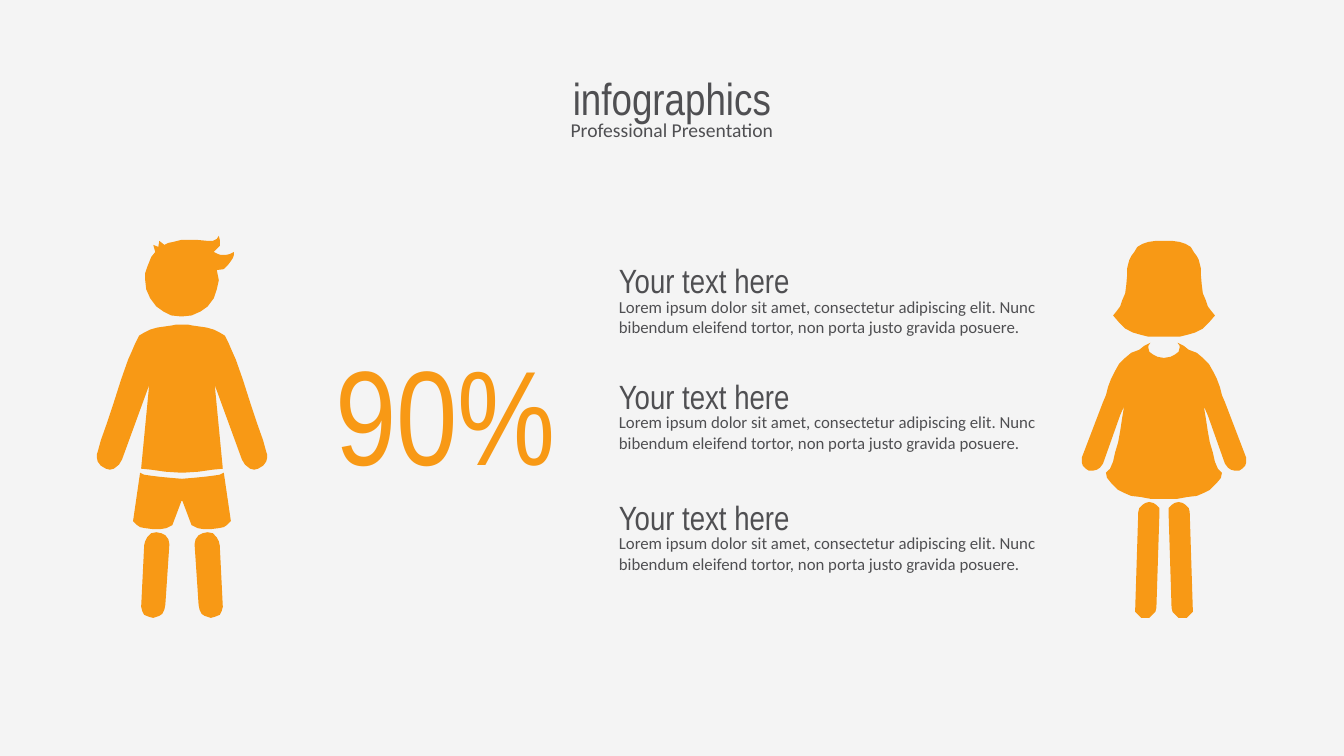
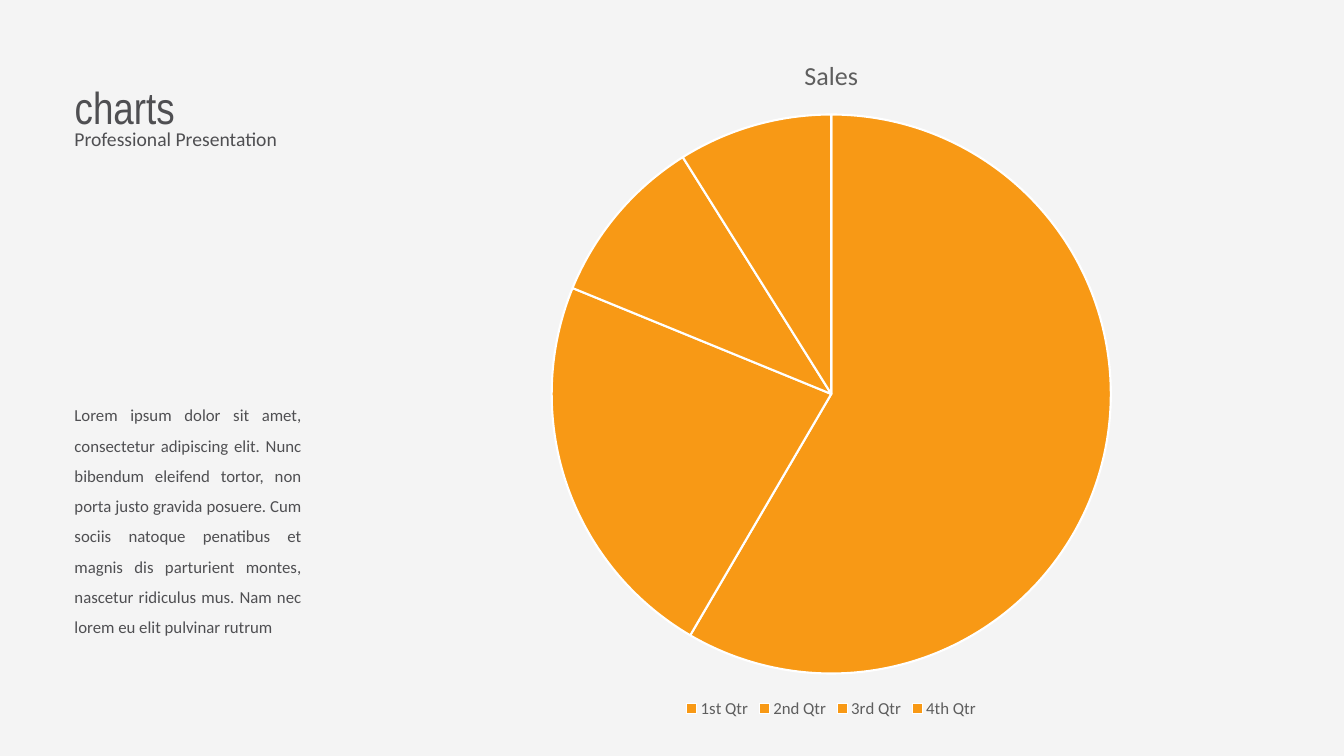
from dataclasses import dataclass

from pptx import Presentation
from pptx.chart.data import CategoryChartData
from pptx.dml.color import RGBColor
from pptx.enum.chart import XL_CHART_TYPE as ChartType, XL_LEGEND_POSITION as LegendPosition
from pptx.enum.text import MSO_ANCHOR as Anchor, MSO_AUTO_SIZE as AutoSize, PP_ALIGN as Align
from pptx.util import Emu, Pt

PX = 9144  # 100 px to the inch
TITLE_ONLY = 5


@dataclass(frozen=True)
class Theme:
    background: str = "F4F4F4"
    accent: str = "F89915"
    ink: str = "4F4F52"
    chart_ink: str = "5E5E5E"
    separator: str = "FFFFFF"
    heading_font: str = "Arial Narrow"
    body_font: str = "Calibri"
    title_size: float = 32
    subtitle_size: float = 14
    heading_size: float = 24
    body_size: float = 12
    figure_size: float = 96
    chart_title_size: float = 18.6
    separator_width: float = 1.5


THEME = Theme()


def color(value):
    return RGBColor.from_string(value)


def mirror(points, axis_sum):
    """Reflect points across the vertical line x = axis_sum / 2."""
    return [(axis_sum - x, y) for x, y in points]


def symmetric(half, axis_sum):
    """Close a right-hand half outline with its reflection."""
    return half + mirror(half, axis_sum)[::-1]


class SlideBuilder:
    def __init__(self, theme):
        self.theme = theme
        self.deck = Presentation()
        self.deck.slide_width, self.deck.slide_height = Emu(1333 * PX), Emu(750 * PX)
        fill = self.deck.slide_master.background.fill
        fill.solid()
        fill.fore_color.rgb = color(theme.background)
        self.page = None

    def new_page(self):
        self.page = self.deck.slides.add_slide(self.deck.slide_layouts[TITLE_ONLY])

    def style_font(self, font, name, size, ink):
        font.name, font.size, font.bold = name, Pt(size), False
        font.color.rgb = color(ink)

    def format_text(self, box, text, size, name, ink=None, align=Align.LEFT, spacing=None):
        frame = box.text_frame
        frame.text = text
        frame.word_wrap = True
        frame.auto_size = AutoSize.NONE
        frame.vertical_anchor = Anchor.TOP
        para = frame.paragraphs[0]
        para.alignment = align
        if spacing:
            para.line_spacing = spacing
        for span in para.runs:
            self.style_font(span.font, name, size, ink or self.theme.ink)

    def text(self, left, top, width, height, text, size, name, **style):
        box = self.page.shapes.add_textbox(*(Emu(n * PX) for n in (left, top, width, height)))
        self.format_text(box, text, size, name, **style)

    def title(self, left, top, width, text, subtitle, align=Align.LEFT):
        theme = self.theme
        box = self.page.shapes.title
        box.left, box.top, box.width, box.height = (
            Emu(n * PX) for n in (left, top, width, 64))
        self.format_text(box, text, theme.title_size, theme.heading_font, align=align)
        self.text(left, top + 47, width, 34, subtitle,
                  theme.subtitle_size, theme.body_font, align=align)

    def person(self, outlines):
        group = self.page.shapes.add_group_shape()
        for points in outlines:
            builder = group.shapes.build_freeform(*points[0], scale=PX)
            builder.add_line_segments(points[1:], close=True)
            part = builder.convert_to_shape()
            part.shadow.inherit = False
            part.fill.solid()
            part.fill.fore_color.rgb = color(self.theme.accent)
            part.line.fill.background()

    def pie(self, left, top, width, height, name, values):
        theme = self.theme
        data = CategoryChartData()
        data.categories = list(values)
        data.add_series(name, list(values.values()))
        frame = self.page.shapes.add_chart(
            ChartType.PIE, *(Emu(n * PX) for n in (left, top, width, height)), data)
        chart = frame.chart
        self.style_font(chart.font, theme.body_font, theme.body_size, theme.chart_ink)
        chart.has_title = True
        chart.chart_title.include_in_layout = False
        para = chart.chart_title.text_frame.paragraphs[0]
        para.text = name
        self.style_font(para.runs[0].font, theme.body_font,
                        theme.chart_title_size, theme.chart_ink)
        chart.has_legend = True
        chart.legend.position = LegendPosition.BOTTOM
        chart.legend.include_in_layout = False
        self.style_font(chart.legend.font, theme.body_font, theme.body_size, theme.chart_ink)
        plot = chart.plots[0]
        plot.vary_by_categories = True
        for index in range(len(values)):
            wedge = plot.series[0].points[index].format
            wedge.fill.solid()
            wedge.fill.fore_color.rgb = color(theme.accent)
            wedge.line.color.rgb = color(theme.separator)
            wedge.line.width = Pt(theme.separator_width)


# Outlines of the boy
BOY_AXIS = 361
BOY_HEAD = [
    (217, 234), (218, 238), (218, 244), (215, 247), (212, 250), (216, 252), (219, 253),
    (224, 253), (228, 252), (232, 250), (232, 253), (231, 256), (229, 259), (226, 263),
    (222, 267), (215, 268), (217, 278), (215, 287), (212, 296), (206, 304), (199, 309),
    (190, 313), (180, 314), (170, 313), (162, 309), (155, 304), (149, 296), (145, 287),
    (144, 278), (144, 271), (146, 265), (148, 260), (150, 255), (154, 250), (152, 243),
    (157, 245), (158, 239), (163, 243), (167, 241), (172, 240), (180, 238), (188, 238),
    (195, 238), (206, 239), (211, 239), (215, 237)]
BOY_SHIRT_HALF = [
    (181, 322), (186, 322), (191, 323), (198, 324), (205, 325), (212, 327), (218, 330),
    (223, 333), (227, 341), (230, 348), (234, 357), (241, 377), (248, 399), (255, 420),
    (261, 437), (264, 448), (265, 451), (265, 454), (264, 458), (261, 462), (256, 465),
    (252, 466), (248, 465), (243, 461), (240, 456), (213, 382), (221, 465), (211, 466),
    (197, 468), (181, 469)]
BOY_SHORTS_HALF = [
    (181, 475), (193, 474), (203, 473), (211, 472), (218, 471), (222, 469), (229, 517),
    (225, 521), (222, 523), (217, 524), (209, 525), (202, 525), (196, 524), (190, 521),
    (181, 497)]
BOY_LEG = [
    (155, 528), (160, 529), (164, 531), (167, 535), (168, 540), (164, 600), (163, 605),
    (161, 609), (158, 611), (152, 613), (148, 612), (143, 610), (141, 606), (140, 602),
    (143, 541), (144, 537), (146, 533), (150, 529)]
BOY = [symmetric(BOY_SHIRT_HALF, BOY_AXIS), BOY_HEAD, symmetric(BOY_SHORTS_HALF, BOY_AXIS),
       BOY_LEG, mirror(BOY_LEG, BOY_AXIS)]

# Outlines of the girl
GIRL_AXIS = 2309
GIRL_HAIR_HALF = [
    (1155, 239), (1163, 239), (1170, 240), (1176, 242), (1181, 245), (1184, 250),
    (1187, 254), (1189, 258), (1190, 262), (1191, 266), (1191, 272), (1192, 283),
    (1193, 291), (1196, 298), (1198, 304), (1201, 308), (1205, 313), (1199, 320),
    (1193, 326), (1185, 330), (1178, 332), (1170, 334), (1155, 334)]
GIRL_DRESS_HALF = [
    (1155, 355), (1161, 354), (1165, 352), (1169, 349), (1170, 345), (1170, 343),
    (1168, 340), (1174, 343), (1179, 347), (1187, 350), (1193, 355), (1199, 361),
    (1203, 368), (1207, 376), (1210, 384), (1212, 392), (1215, 399), (1236, 454),
    (1236, 459), (1235, 462), (1232, 465), (1229, 467), (1225, 467), (1221, 466),
    (1218, 464), (1215, 460), (1198, 412), (1194, 403), (1196, 415), (1198, 428),
    (1200, 439), (1203, 449), (1205, 458), (1208, 465), (1212, 469), (1211, 474),
    (1207, 479), (1204, 482), (1200, 486), (1194, 489), (1187, 492), (1178, 493),
    (1167, 495), (1155, 495)]
GIRL_LEG = [
    (1140, 498), (1144, 499), (1147, 501), (1150, 504), (1150, 508), (1147, 603),
    (1146, 607), (1143, 610), (1140, 613), (1136, 613), (1132, 613), (1129, 610),
    (1126, 607), (1126, 603), (1129, 508), (1130, 504), (1133, 501), (1136, 499)]
GIRL = [symmetric(GIRL_HAIR_HALF, GIRL_AXIS), GIRL_LEG, mirror(GIRL_LEG, GIRL_AXIS),
        symmetric(GIRL_DRESS_HALF, GIRL_AXIS)]

# Wording
SUBTITLE = "Professional Presentation"
LOREM = ("Lorem ipsum dolor sit amet, consectetur adipiscing elit. Nunc bibendum "
         "eleifend tortor, non porta justo gravida posuere.")
LONG_LOREM = LOREM + (" Cum sociis natoque penatibus et magnis dis parturient montes, "
                      "nascetur ridiculus mus. Nam nec lorem eu elit pulvinar rutrum")
SALES = {"1st Qtr": 59, "2nd Qtr": 23, "3rd Qtr": 10, "4th Qtr": 9}


def add_infographics(slides):
    slides.new_page()
    slides.title(88, 65, 1157, "infographics", SUBTITLE, Align.CENTER)
    slides.person(BOY)
    slides.person(GIRL)
    for top in (253, 368, 488):
        slides.text(604, top + 36, 467, 50, LOREM, THEME.body_size, THEME.body_font)
        slides.text(604, top, 467, 50, "Your text here",
                    THEME.heading_size, THEME.heading_font)
    slides.text(312, 324, 260, 172, "90%", THEME.figure_size, THEME.heading_font,
                ink=THEME.accent, align=Align.CENTER)


def add_charts(slides):
    slides.new_page()
    slides.pie(316, 33, 1017, 684, "Sales", SALES)
    slides.text(64, 387, 245, 252, LONG_LOREM, THEME.body_size, THEME.body_font,
                align=Align.JUSTIFY, spacing=1.5)
    slides.title(64, 74, 1181, "charts", SUBTITLE)


def main():
    slides = SlideBuilder(THEME)
    add_infographics(slides)
    add_charts(slides)
    slides.deck.save("out.pptx")


if __name__ == "__main__":
    main()
